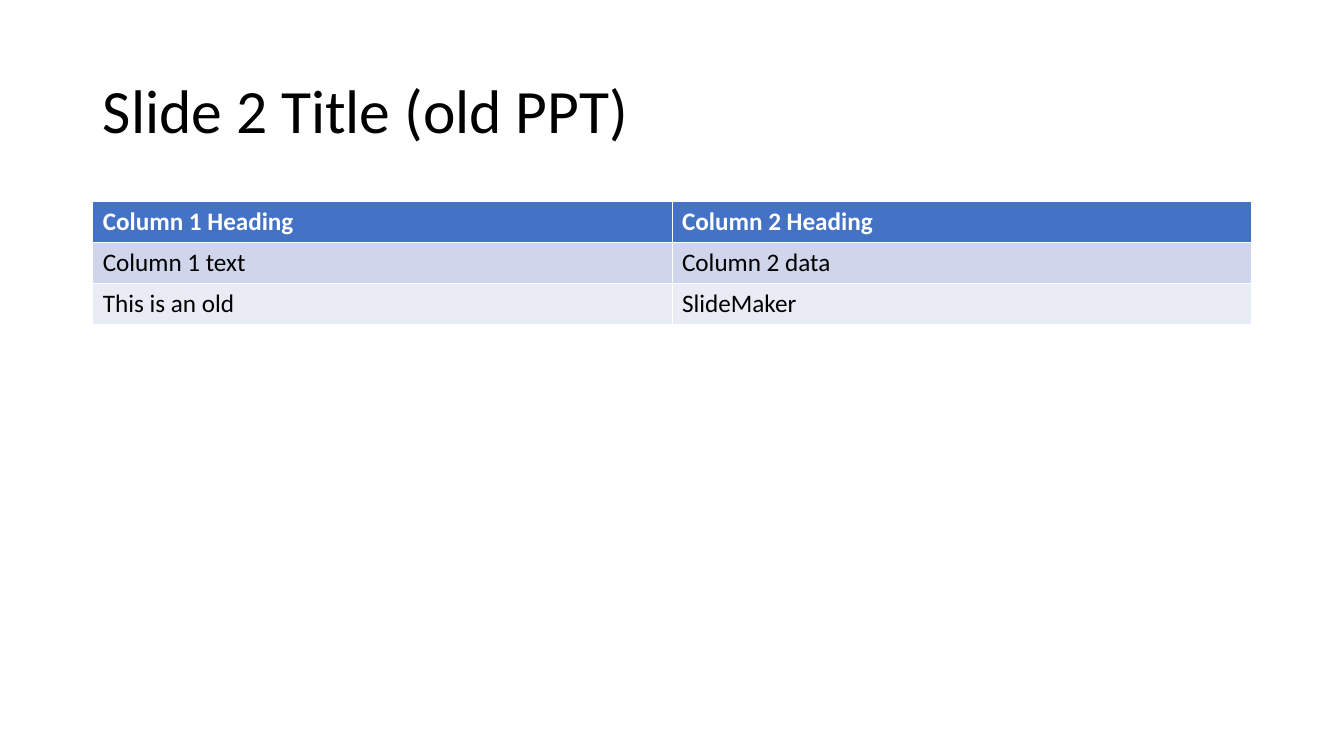
from dataclasses import dataclass

from lxml.etree import SubElement
from pptx import Presentation
from pptx.dml.color import RGBColor
from pptx.enum.text import MSO_ANCHOR, MSO_AUTO_SIZE, PP_ALIGN
from pptx.oxml.ns import qn
from pptx.util import Inches, Pt


@dataclass(frozen=True)
class Theme:
    font: str = "Calibri"
    title_size: float = 44
    table_size: float = 18
    text: str = "000000"
    white: str = "FFFFFF"
    header_fill: str = "4472C4"
    bands: tuple = ("CFD5EA", "E9EBF5")
    thin_rule: float = 0.45
    header_rule: float = 1.47


THEME = Theme()
TITLE_BOX = (0.92, 0.4, 11.5, 1.45)
TABLE_BOX = (0.92, 2, 11.5, 1.22)
TITLE = "Slide 2 Title (old PPT)"
ROWS = [
    ("Column 1 Heading", "Column 2 Heading"),
    ("Column 1 text", "Column 2 data"),
    ("This is an old", "SlideMaker"),
]


def set_all(target, values):
    for name, value in values.items():
        setattr(target, name, value)


def format_font(font, size, color, bold=False):
    set_all(font, {"name": THEME.font, "size": Pt(size), "bold": bold})
    font.color.rgb = RGBColor.from_string(color)


def add_border(cell, side, width):
    """Draw a white rule on one side (L, R, T or B); call before filling the cell."""
    properties = cell._tc.get_or_add_tcPr()
    rule = SubElement(properties, qn(f"a:ln{side}"), w=str(Pt(width)))
    SubElement(SubElement(rule, qn("a:solidFill")), qn("a:srgbClr"), val=THEME.white)


def place_title(slide, box):
    title = slide.shapes.title
    set_all(title, dict(zip(("left", "top", "width", "height"), map(Inches, box))))
    frame = title.text_frame
    frame.text = TITLE
    set_all(frame, {"vertical_anchor": MSO_ANCHOR.MIDDLE, "word_wrap": True,
                    "auto_size": MSO_AUTO_SIZE.NONE})
    heading = frame.paragraphs[0]
    set_all(heading, {"alignment": PP_ALIGN.LEFT, "line_spacing": 0.9})
    format_font(heading.runs[0].font, THEME.title_size, THEME.text)


def format_cell(cell, text, row):
    is_header = row == 0
    widths = {"L": THEME.thin_rule, "R": THEME.thin_rule,
              "T": THEME.header_rule if row == 1 else THEME.thin_rule,
              "B": THEME.header_rule if is_header else THEME.thin_rule}
    for side, width in widths.items():
        add_border(cell, side, width)
    fill = THEME.header_fill if is_header else THEME.bands[(row - 1) % 2]
    cell.fill.solid()
    cell.fill.fore_color.rgb = RGBColor.from_string(fill)
    cell.text = text
    color = THEME.white if is_header else THEME.text
    format_font(cell.text_frame.paragraphs[0].runs[0].font, THEME.table_size, color, is_header)


def add_data_table(slide, box):
    table = slide.shapes.add_table(len(ROWS), len(ROWS[0]), *map(Inches, box)).table
    for row, texts in enumerate(ROWS):
        for column, text in enumerate(texts):
            format_cell(table.cell(row, column), text, row)


def main():
    deck = Presentation()
    set_all(deck, {"slide_width": Inches(13.34), "slide_height": Inches(7.5)})
    slide = deck.slides.add_slide(deck.slide_layouts.get_by_name("Title Only"))
    place_title(slide, TITLE_BOX)
    add_data_table(slide, TABLE_BOX)
    deck.save("out.pptx")


if __name__ == "__main__":
    main()
